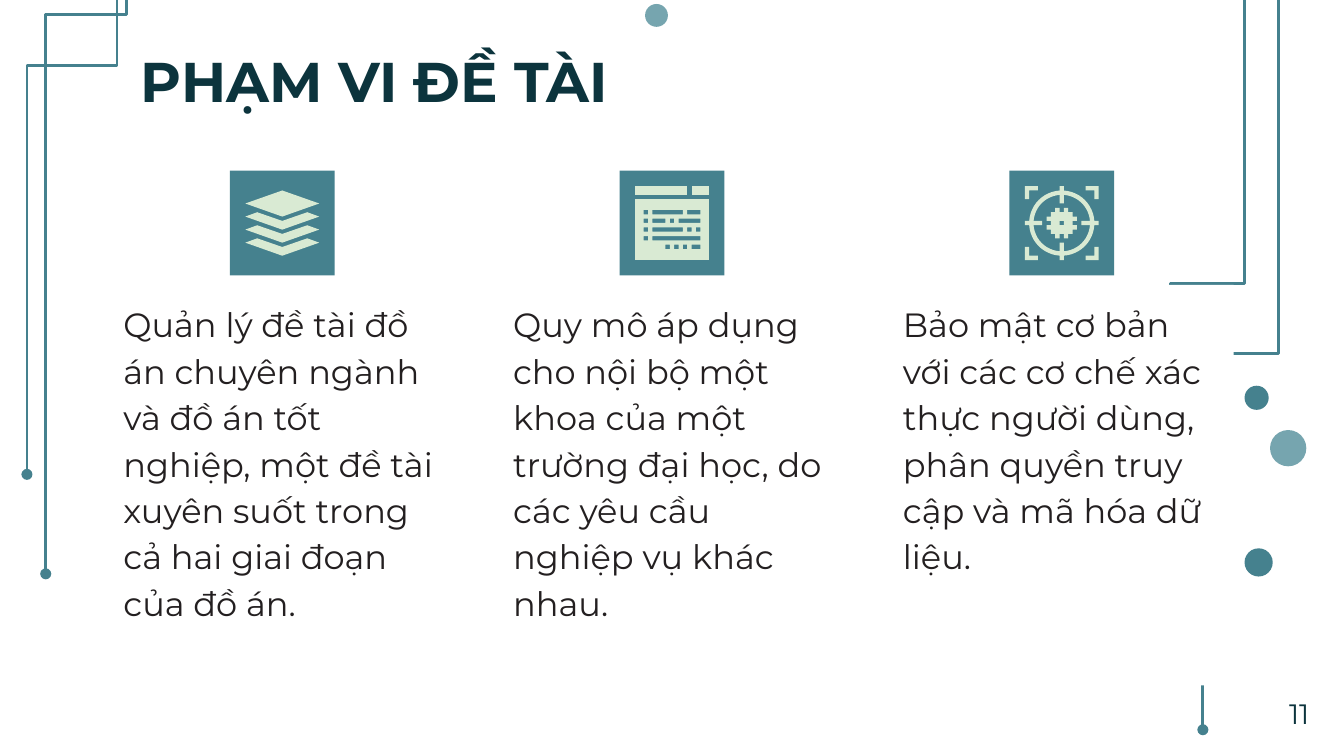
from dataclasses import dataclass
from math import cos, pi, sin

from lxml import etree
from pptx import Presentation
from pptx.dml.color import RGBColor
from pptx.enum.shapes import MSO_CONNECTOR, MSO_SHAPE
from pptx.enum.text import PP_ALIGN
from pptx.oxml.ns import qn
from pptx.util import Inches, Pt

ELBOW = MSO_CONNECTOR.ELBOW
OVAL, RECT = MSO_SHAPE.OVAL, MSO_SHAPE.RECTANGLE
LEFT, RIGHT = PP_ALIGN.LEFT, PP_ALIGN.RIGHT
TEAL, MIST, MINT = "45818E", "76A5AF", "D9EAD3"
NAVY, INK, WHITE = "0C343D", "231F20", "FFFFFF"
WIDTH = 10
MID = 1.66
UNIT = Inches(0.55) / 34
Points = list[tuple[float, float]]


@dataclass
class Wire:
    x: float
    top: float
    bend: float
    end_x: float
    end_y: float


@dataclass
class Dot:
    x: float
    y: float
    size: float
    color: str


@dataclass
class Label:
    text: str
    x: float
    y: float
    width: float
    height: float
    font: dict
    para: dict
    fill: str = ""


def paint(color: str) -> RGBColor:
    return RGBColor.from_string(color)


def apply(target, values: dict) -> None:
    for name, value in values.items():
        setattr(target, name, value)


def finish(shape, color: str) -> None:
    shape.shadow.inherit = False
    shape.fill.solid()
    shape.fill.fore_color.rgb = paint(color)
    shape.line.fill.background()


def draw_block(shapes, kind, x: float, y: float, size: float, color: str) -> None:
    finish(shapes.add_shape(kind, Inches(x), Inches(y), Inches(size), Inches(size)), color)


def draw_wire(shapes, wire: Wire) -> None:
    span, depth = wire.end_y - wire.top, wire.x - wire.end_x
    x = (wire.x + wire.end_x - span) / 2
    y = (wire.top + wire.end_y - depth) / 2
    line = shapes.add_connector(ELBOW, Inches(x), Inches(y), Inches(x + span), Inches(y + depth))
    line.line.color.rgb = paint(TEAL)
    line.line.width = Pt(1.5)
    props = line._element.spPr
    props.find(qn("a:xfrm")).set("rot", "5400000")
    guides = props.find(qn("a:prstGeom")).get_or_add_avLst()
    ratio = round((wire.bend - wire.top) / span * 100000)
    etree.SubElement(guides, qn("a:gd"), name="adj1", fmla=f"val {ratio}")
    etree.SubElement(props.find(qn("a:ln")), qn("a:tailEnd"), type="oval")
    etree.SubElement(props, qn("a:effectLst"))


def draw_label(shapes, label: Label) -> None:
    box = shapes.add_textbox(*map(Inches, (label.x, label.y, label.width, label.height)))
    if label.fill:
        finish(box, label.fill)
    frame = box.text_frame
    apply(frame, dict.fromkeys(
        ("margin_left", "margin_right", "margin_top", "margin_bottom"), Inches(0.1)))
    frame.word_wrap = True
    para = frame.paragraphs[0]
    apply(para, label.para)
    run = para.add_run()
    run.text = label.text
    style = dict(label.font)
    run.font.color.rgb = paint(style.pop("color"))
    apply(run.font, {"name": "Montserrat", **style})


def draw_mark(shapes, mid_x: float, *loops: Points) -> None:
    placed = [[(Inches(mid_x) + x * UNIT, Inches(MID) + y * UNIT) for x, y in loop]
              for loop in loops]
    pen = shapes.build_freeform(*placed[0][0])
    pen.add_line_segments(placed[0][1:], close=True)
    for loop in placed[1:]:
        pen.move_to(*loop[0])
        pen.add_line_segments(loop[1:], close=True)
    finish(pen.convert_to_shape(), MINT)


def turns(points: Points) -> list[Points]:
    sets = [points]
    for _ in range(3):
        sets.append([(-y, x) for x, y in sets[-1]])
    return sets


def whole(points: Points) -> Points:
    return sum(turns(points), [])


def ring(radius: float, tip: float) -> Points:
    gap = 1 / radius
    steps = 12
    angles = [gap + (pi / 2 - 2 * gap) * i / steps for i in range(steps + 1)]
    arc = [(radius * sin(a), -radius * cos(a)) for a in angles]
    return whole([(-1, -tip), (1, -tip)] + arc)


def cells(left: float, top: float, right: float, bottom: float) -> Points:
    x, y, far, low = (2 * n - 17 for n in (left, top, right, bottom))
    return [(x, y), (x, low), (far, low), (far, y)]


def draw_stack(shapes, x: float) -> None:
    draw_mark(shapes, x, [(0, -15), (-17, -9), (0, -3), (17, -9)])
    for y in (-5, 1, 7):
        draw_mark(shapes, x, [(-11.5, y), (-17, y + 2), (0, y + 8),
                              (17, y + 2), (11.5, y), (0, y + 4)])


def draw_page(shapes, x: float) -> None:
    draw_mark(shapes, x, cells(0, 0, 12, 2))
    draw_mark(shapes, x, cells(13, 0, 17, 2))
    rows = [
        [(2, 3), (4, 11), (12, 15)],
        [(2, 3), (4, 7), (8, 9), (10, 15)],
        [(2, 3), (4, 11), (12, 13), (14, 15)],
        [(2, 3), (4, 15)],
        [(7, 8), (9, 10), (11, 12), (13, 15)],
    ]
    holes = [cells(a, 5.5 + 2 * i, b, 6.5 + 2 * i)
             for i, row in enumerate(rows) for a, b in row]
    draw_mark(shapes, x, cells(0, 3, 17, 17), *holes)


def draw_target(shapes, x: float) -> None:
    draw_mark(shapes, x, ring(15, 17), ring(13, 9))
    for corner in turns([(-17, -17), (-17, -11), (-15, -11), (-15, -15), (-11, -15), (-11, -17)]):
        draw_mark(shapes, x, corner)
    chip = whole([(-1, -5), (1, -5), (1, -7), (3, -7), (3, -5),
                  (5, -5), (5, -3), (7, -3), (7, -1)])
    draw_mark(shapes, x, chip, whole([(-1, -1)]))


WIRES = [
    Wire(0.94, -0.86, 0.11, 0.34, 4.27),
    Wire(0.87, -1, 0.49, 0.2, 3.53),
    Wire(9.51, -0.17, 2.63, 8.95, 5.43),
    Wire(9.26, -0.69, 2.11, 8.71, 4.9),
]
DOTS = [
    Dot(9.26, 4.08, 0.21, TEAL),
    Dot(9.45, 3.2, 0.27, MIST),
    Dot(4.8, 0.03, 0.17, MIST),
    Dot(9.26, 2.87, 0.18, TEAL),
]
TOPICS = [
    (draw_stack, 2.88, "", "Quản lý đề tài đồ án chuyên ngành và đồ án tốt nghiệp, một đề tài xuyên suốt trong cả hai giai đoạn của đồ án."),
    (draw_page, 2.59, "", "Quy mô áp dụng cho nội bộ một khoa của một trường đại học, do các yêu cầu nghiệp vụ khác nhau."),
    (draw_target, 2.98, WHITE, "Bảo mật cơ bản với các cơ chế xác thực người dùng, phân quyền truy cập và mã hóa dữ liệu."),
]
BODY = {"size": Pt(18), "color": INK}
FLOW = {"alignment": LEFT, "line_spacing": 1.15, "space_after": Pt(12)}


def main() -> None:
    deck = Presentation()
    deck.slide_width, deck.slide_height = Inches(WIDTH), Inches(WIDTH * 9 / 16)
    shapes = deck.slides.add_slide(deck.slide_layouts[6]).shapes
    for wire in WIRES:
        draw_wire(shapes, wire)
    for dot in DOTS:
        draw_block(shapes, OVAL, dot.x, dot.y, dot.size, dot.color)
    draw_label(shapes, Label("PHẠM VI ĐỀ TÀI", 0.95, 0.25, 5.35, 0.63,
                             {"size": Pt(30), "color": NAVY, "bold": True}, {"alignment": LEFT}))
    for i, (draw_icon, height, fill, text) in enumerate(TOPICS):
        x = 2.1 + 2.9 * i
        draw_block(shapes, RECT, x - 0.39, MID - 0.39, 0.78, TEAL)
        draw_icon(shapes, x)
        draw_label(shapes, Label(text, x - 1.28, 2.12, 2.56, height, BODY, FLOW, fill))
    draw_label(shapes, Label("11", 9.39, 5.08, 0.45, 0.32,
                             {"size": Pt(15), "color": NAVY}, {"alignment": RIGHT}))
    deck.save("out.pptx")


if __name__ == "__main__":
    main()
